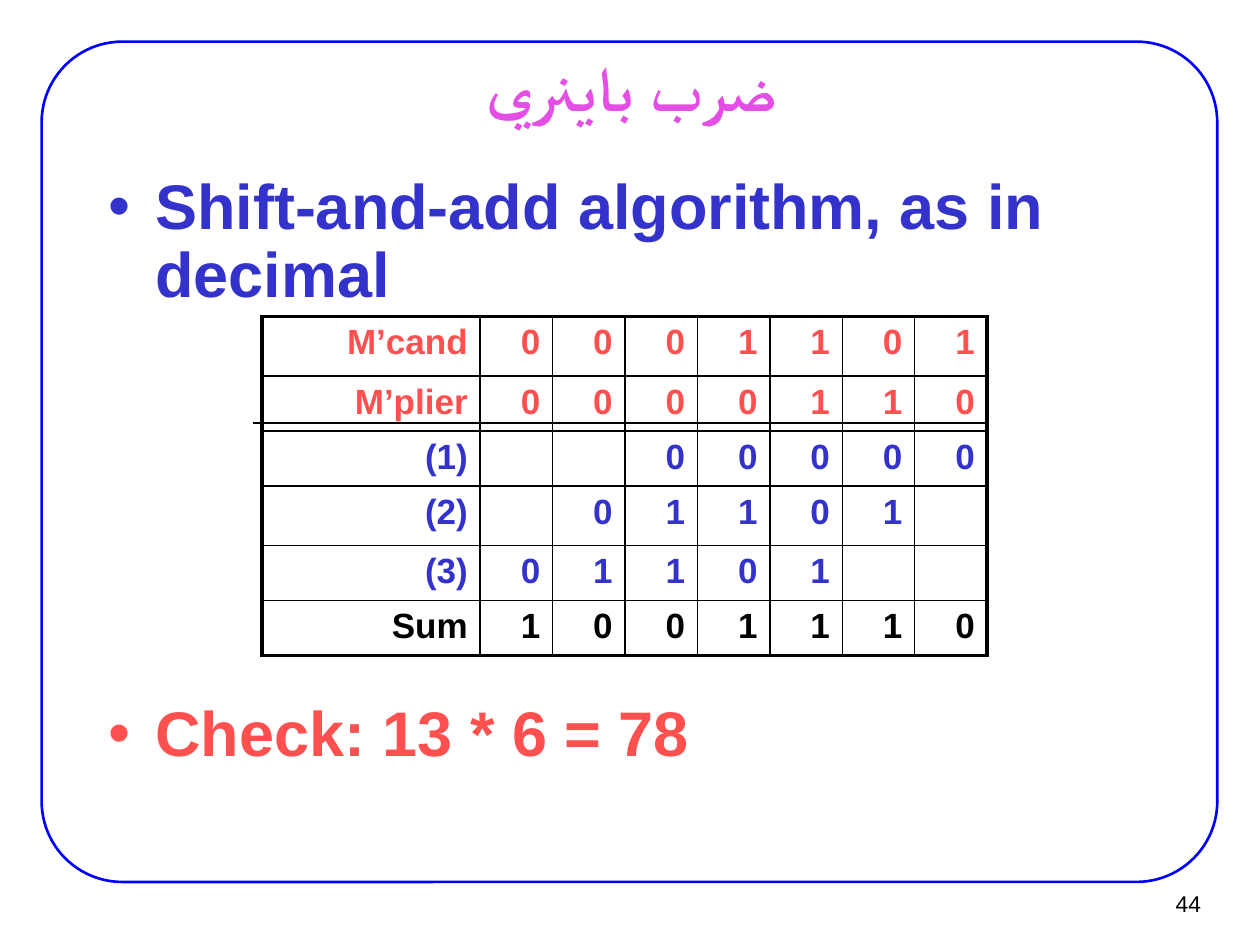
from lxml.etree import SubElement
from pptx import Presentation
from pptx.dml.color import RGBColor
from pptx.enum.shapes import MSO_CONNECTOR, MSO_SHAPE
from pptx.enum.text import MSO_ANCHOR as Anchor, PP_ALIGN as Align
from pptx.oxml.ns import qn
from pptx.util import Cm, Pt

FONT = "Arial"
BLACK = RGBColor(0x00, 0x00, 0x00)
FRAME_BLUE = RGBColor(0x00, 0x00, 0xFF)
TITLE_PINK = RGBColor(0xE4, 0x4E, 0xE4)
INDIGO = RGBColor(0x33, 0x33, 0xCC)
CORAL = RGBColor(0xFF, 0x50, 0x50)

# Label, digits (a space is an empty cell), colour, row height in cm
PRODUCT_ROWS = [
    ("M’cand", "0001101", CORAL, 1.2),
    ("M’plier", "0000110", CORAL, 1.1),
    ("(1)", "  00000", INDIGO, 1.1),
    ("(2)", " 01101 ", INDIGO, 1.2),
    ("(3)", "01101  ", INDIGO, 1.1),
    ("Sum", "1001110", BLACK, 1.1),
]
LABEL_WIDTH, DIGIT_WIDTH = 4.4, 1.46
THIN, THICK = Pt(1), Pt(2.25)


def format_runs(paragraph, size, color, bold=True):
    for run in paragraph.runs:
        font = run.font
        font.name, font.size, font.bold = FONT, Pt(size), bold
        font.color.rgb = color
        SubElement(run._r.get_or_add_rPr(), qn("a:cs"), typeface=FONT)


def add_frame(slide):
    frame = slide.shapes.add_shape(
        MSO_SHAPE.ROUNDED_RECTANGLE, Cm(0.84), Cm(0.84), Cm(23.7), Cm(16.94))
    frame.adjustments[0] = 0.096
    frame.shadow.inherit = False
    frame.fill.background()
    frame.line.color.rgb = FRAME_BLUE
    frame.line.width = Pt(1.5)


def add_text(slide, text, box, size, color, align, bold=True, wrap=True):
    shape = slide.shapes.add_textbox(*map(Cm, box))
    text_frame = shape.text_frame
    text_frame.word_wrap = wrap
    text_frame.vertical_anchor = Anchor.MIDDLE
    text_frame.text = text
    paragraph = text_frame.paragraphs[0]
    paragraph.alignment = align
    format_runs(paragraph, size, color, bold)
    return text_frame


def add_bullet(slide, text, box, color):
    text_frame = add_text(slide, text, box, 36, color, Align.LEFT)
    text_frame.vertical_anchor = Anchor.TOP
    text_frame.margin_left = text_frame.margin_right = Cm(0.28)
    text_frame.margin_top = text_frame.margin_bottom = Cm(0.15)
    paragraph = text_frame.paragraphs[0]
    paragraph.line_spacing = 0.9
    properties = paragraph._p.get_or_add_pPr()
    properties.set("marL", str(Cm(0.95)))
    properties.set("indent", str(-Cm(0.95)))
    SubElement(properties, qn("a:buFont"), typeface=FONT)
    SubElement(properties, qn("a:buChar"), char="•")


def set_borders(cell, widths):
    properties = cell._tc.get_or_add_tcPr()
    for side, width in zip("LRTB", widths):
        line = SubElement(properties, qn(f"a:ln{side}"), w=str(width))
        fill = SubElement(line, qn("a:solidFill"))
        SubElement(fill, qn("a:srgbClr"), val=str(BLACK))


def fill_cell(cell, text, color):
    cell.margin_left = cell.margin_right = Cm(0.25)
    cell.margin_top = cell.margin_bottom = Cm(0.13)
    cell.text = text
    paragraph = cell.text_frame.paragraphs[0]
    paragraph.alignment = Align.RIGHT
    paragraph._p.get_or_add_pPr().set("rtl", "1")
    format_runs(paragraph, 20, color)


def add_product_table(slide):
    row_count, column_count = len(PRODUCT_ROWS), len(PRODUCT_ROWS[0][1]) + 1
    width = LABEL_WIDTH + DIGIT_WIDTH * (column_count - 1)
    height = sum(row[3] for row in PRODUCT_ROWS)
    table = slide.shapes.add_table(
        row_count, column_count, Cm(5.28), Cm(6.38), Cm(width), Cm(height)).table
    table.first_row = table.horz_banding = False
    for index, column in enumerate(table.columns):
        column.width = Cm(DIGIT_WIDTH if index else LABEL_WIDTH)

    for r, (label, digits, color, row_height) in enumerate(PRODUCT_ROWS):
        table.rows[r].height = Cm(row_height)
        for c, text in enumerate([label, *digits]):
            cell = table.cell(r, c)
            fill_cell(cell, text.strip(), color)
            # Thick lines run round the outside only
            outer = (c == 0, c == column_count - 1, r == 0, r == row_count - 1)
            set_borders(cell, [THICK if edge else THIN for edge in outer])
            cell.fill.background()


def add_rule(slide):
    rule = slide.shapes.add_connector(
        MSO_CONNECTOR.STRAIGHT, Cm(5.1), Cm(8.53), Cm(19.91), Cm(8.53))
    rule.line.color.rgb = BLACK
    rule.line.width = Pt(0.75)
    SubElement(rule._element.spPr, qn("a:effectLst"))


def main():
    presentation = Presentation()
    presentation.slide_width, presentation.slide_height = Cm(25.4), Cm(19.05)
    slide = presentation.slides.add_slide(presentation.slide_layouts[6])

    # Frame and page number
    add_frame(slide)
    add_text(slide, "44", (22.91, 17.75, 1.55, 0.94), 13, BLACK, Align.RIGHT,
             bold=False, wrap=False)

    # Title and bullets
    add_text(slide, "ضرب باينري", (1.93, 1.12, 21.6, 1.24), 36, TITLE_PINK,
             Align.CENTER)
    add_bullet(slide, "Shift-and-add algorithm, as in decimal",
               (1.9, 3.38, 21.6, 2.9), INDIGO)
    add_bullet(slide, "Check: 13 * 6 = 78", (1.9, 14, 21.6, 1.8), CORAL)

    # Multiplication table, with the rule under the factors
    add_product_table(slide)
    add_rule(slide)

    presentation.save("out.pptx")


if __name__ == "__main__":
    main()
